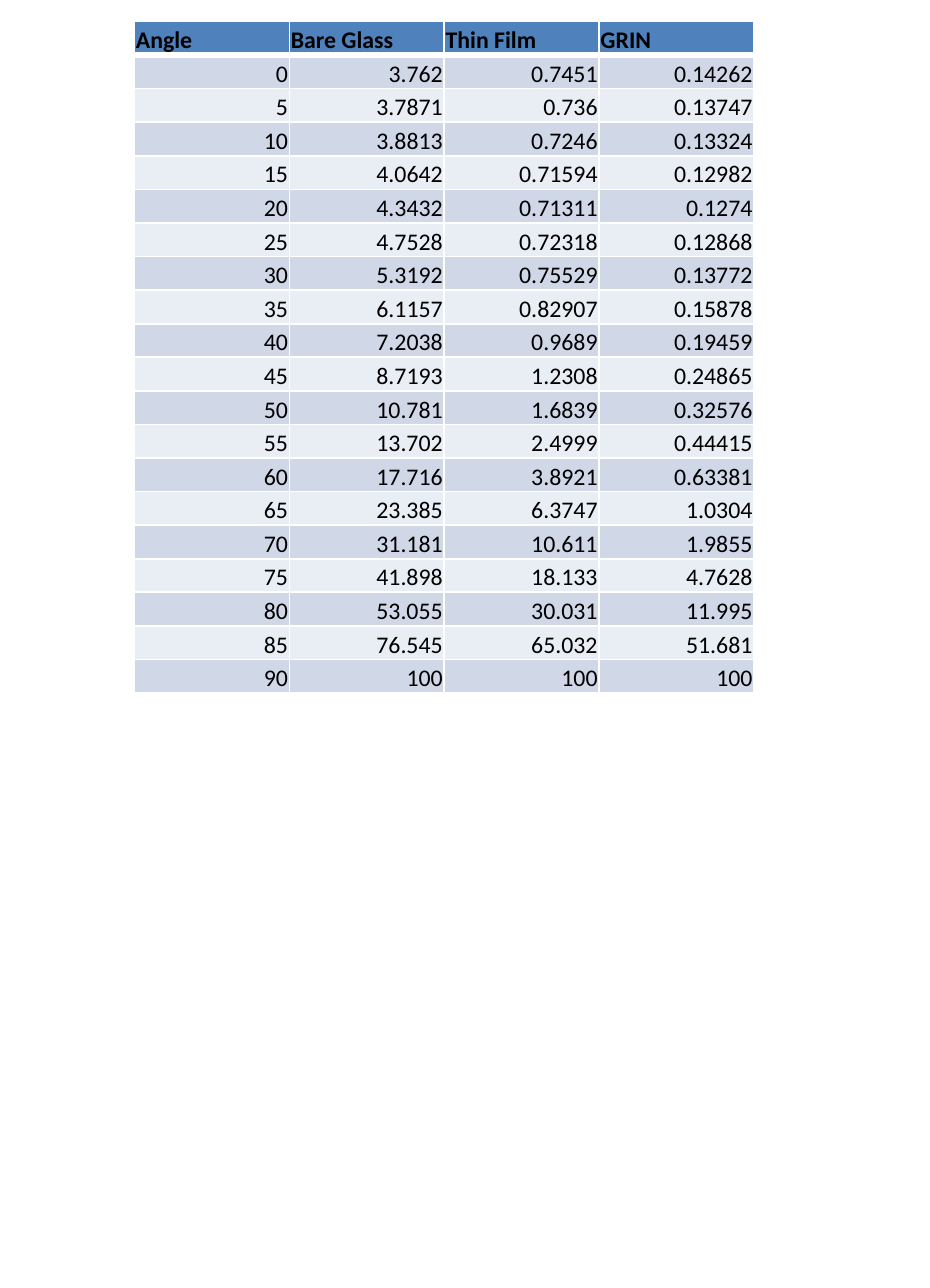
from dataclasses import dataclass

from lxml import etree
from pptx import Presentation
from pptx.dml.color import RGBColor
from pptx.enum.text import MSO_ANCHOR, PP_ALIGN
from pptx.oxml.ns import qn
from pptx.table import _Cell
from pptx.util import Inches, Pt

BOTTOM = MSO_ANCHOR.BOTTOM
LEFT = PP_ALIGN.LEFT
RIGHT = PP_ALIGN.RIGHT

WIDTH, HEIGHT = Inches(6.5), Inches(9)
COL, ROW = Inches(4.33 / 4), Inches(4.7 / 20)
INSET = Inches(0.01)
WHITE, BLACK = "FFFFFF", "000000"
THIN, THICK = 1, 3


@dataclass(frozen=True)
class Look:
    fill: str
    bold: bool
    align: PP_ALIGN
    top: int = THIN
    base: int = THIN


HEAD = Look("4F81BD", True, LEFT, base=THICK)
FIRST = Look("D0D8E8", False, RIGHT, top=THICK)
DARK = Look("D0D8E8", False, RIGHT)
LIGHT = Look("E9EDF4", False, RIGHT)

TITLES = ["Angle", "Bare Glass", "Thin Film", "GRIN"]
BARE = """3.762 3.7871 3.8813 4.0642 4.3432 4.7528 5.3192 6.1157 7.2038 8.7193
10.781 13.702 17.716 23.385 31.181 41.898 53.055 76.545 100""".split()
FILM = """0.7451 0.736 0.7246 0.71594 0.71311 0.72318 0.75529 0.82907 0.9689 1.2308
1.6839 2.4999 3.8921 6.3747 10.611 18.133 30.031 65.032 100""".split()
GRIN = """0.14262 0.13747 0.13324 0.12982 0.1274 0.12868 0.13772 0.15878 0.19459 0.24865
0.32576 0.44415 0.63381 1.0304 1.9855 4.7628 11.995 51.681 100""".split()
ANGLES = [str(angle) for angle in range(0, 91, 5)]


def color(code: str) -> RGBColor:
    return RGBColor.from_string(code)


def draw_edge(cell: _Cell, side: str, points: int) -> None:
    props = cell._tc.get_or_add_tcPr()
    line = etree.SubElement(props, qn(f"a:ln{side}"), w=str(Pt(points)))
    fill = etree.SubElement(line, qn("a:solidFill"))
    etree.SubElement(fill, qn("a:srgbClr"), val=WHITE)


def draw_cell(cell: _Cell, text: str, look: Look) -> None:
    edges = {"L": THIN, "R": THIN, "T": look.top, "B": look.base}
    for side, points in edges.items():
        draw_edge(cell, side, points)
    cell.fill.solid()
    cell.fill.fore_color.rgb = color(look.fill)
    cell.margin_left = cell.margin_right = cell.margin_top = INSET
    cell.margin_bottom = 0
    cell.vertical_anchor = BOTTOM
    cell.text = text
    para = cell.text_frame.paragraphs[0]
    para.alignment = look.align
    para.font.name = "Calibri"
    para.font.size = Pt(12)
    para.font.bold = look.bold
    para.font.color.rgb = color(BLACK)


def pick_look(row: int) -> Look:
    if row < 2:
        return (HEAD, FIRST)[row]
    return DARK if row % 2 else LIGHT


def main() -> None:
    deck = Presentation()
    deck.slide_width, deck.slide_height = WIDTH, HEIGHT
    slide = deck.slides.add_slide(deck.slide_layouts[6])
    rows = [TITLES, *zip(ANGLES, BARE, FILM, GRIN)]
    frame = slide.shapes.add_table(
        len(rows), len(TITLES), Inches(0.94), Inches(0.15),
        COL * len(TITLES), ROW * len(rows),
    )
    table = frame.table
    for column in table.columns:
        column.width = COL
    for index, texts in enumerate(rows):
        table.rows[index].height = ROW
        for cell, text in zip(table.rows[index].cells, texts):
            draw_cell(cell, text, pick_look(index))
    deck.save("out.pptx")


if __name__ == "__main__":
    main()
